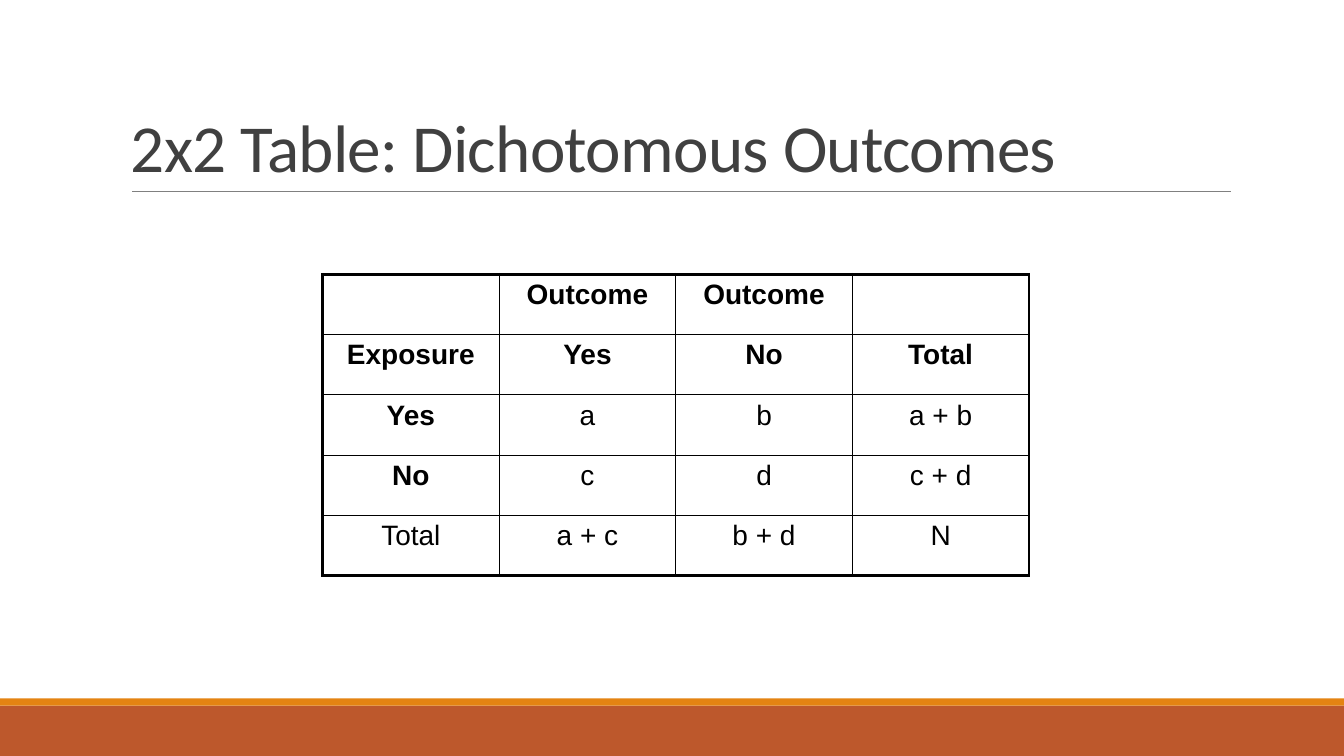
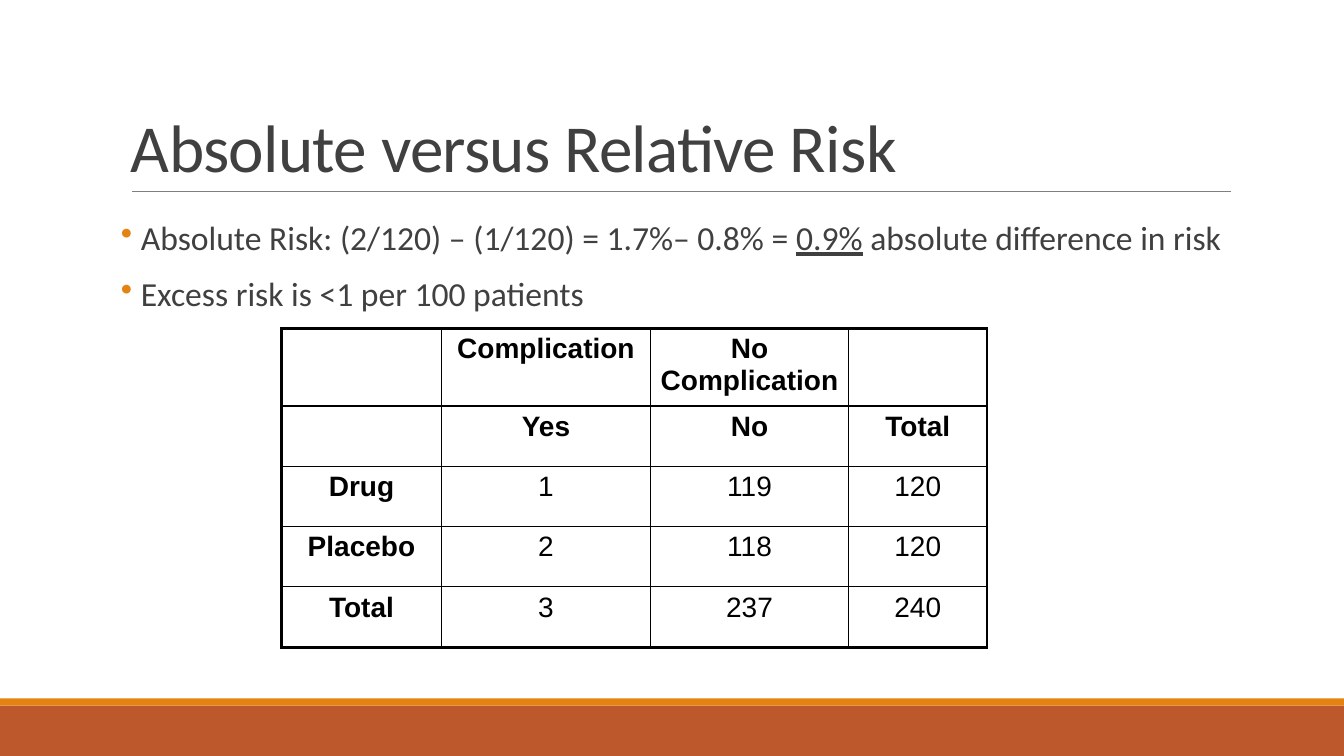
from dataclasses import dataclass

from lxml import etree
from pptx import Presentation
from pptx.dml.color import RGBColor
from pptx.enum import shapes, text
from pptx.oxml import ns
from pptx.util import Cm, Pt


@dataclass(frozen=True)
class Theme:
    band: str = "BD582C"
    accent: str = "E48312"
    rule: str = "808080"
    ink: str = "404040"
    table_ink: str = "000000"
    font: str = "Calibri"
    table_font: str = "Arial"
    title_size: float = 48
    body_size: float = 24
    table_size: float = 20
    outer_border: float = 2.25
    inner_border: float = 1


THEME = Theme()
SLIDE_WIDTH, SLIDE_HEIGHT = 33.87, 19.05
CONTENT_LEFT, CONTENT_WIDTH = 3.05, 27.94
RULE_LEFT, RULE_RIGHT, RULE_TOP = 3.33, 31.01, 4.83
BANDS = [(17.78, 1.27, THEME.band), (17.6, 0.18, THEME.accent)]
ROW_HEIGHT = 1.52
HEADER_ROWS = 2

# Each bullet is a list of (text, underlined) runs.
SLIDES = [
    {
        "title": "2x2 Table: Dichotomous Outcomes",
        "bullets": [],
        "table_at": (8.13, 6.91),
        "columns": [4.45] * 4,
        "bold_last_label": False,
        "rows": [
            ["", "Outcome", "Outcome", ""],
            ["Exposure", "Yes", "No", "Total"],
            ["Yes", "a", "b", "a + b"],
            ["No", "c", "d", "c + d"],
            ["Total", "a + c", "b + d", "N"],
        ],
    },
    {
        "title": "Absolute versus Relative Risk",
        "bullets": [
            [("Absolute Risk: (2/120) – (1/120) = 1.7%– 0.8% = ", False),
             ("0.9%", True),
             (" absolute difference in risk", False)],
            [("Excess risk is <1 per 100 patients", False)],
        ],
        "table_at": (7.09, 8.28),
        "columns": [4.04, 5.26, 5, 3.48],
        "bold_last_label": True,
        "rows": [
            ["", "Complication", "No Complication", ""],
            ["", "Yes", "No", "Total"],
            ["Drug", "1", "119", "120"],
            ["Placebo", "2", "118", "120"],
            ["Total", "3", "237", "240"],
        ],
    },
]


def rgb(color):
    return RGBColor.from_string(color)


def add_element(parent, tag, **attributes):
    return etree.SubElement(parent, ns.qn(tag), attributes)


def style_font(font, name, size, color, bold=False):
    font.name, font.size, font.bold = name, Pt(size), bold
    font.color.rgb = rgb(color)


def add_frame(slide):
    """Add the footer bands and the rule under the title."""
    for top, height, color in BANDS:
        band = slide.shapes.add_shape(shapes.MSO_SHAPE.RECTANGLE, 0, Cm(top),
                                      Cm(SLIDE_WIDTH), Cm(height))
        band.shadow.inherit = False
        band.fill.solid()
        band.fill.fore_color.rgb = rgb(color)
        band.line.fill.background()
    rule = slide.shapes.add_connector(shapes.MSO_CONNECTOR.STRAIGHT, Cm(RULE_LEFT), Cm(RULE_TOP),
                                      Cm(RULE_RIGHT), Cm(RULE_TOP))
    rule.line.color.rgb = rgb(THEME.rule)
    rule.line.width = Pt(0.5)
    add_element(rule._element.spPr, "a:effectLst")


def add_text_frame(slide, top, height):
    box = slide.shapes.add_textbox(Cm(CONTENT_LEFT), Cm(top), Cm(CONTENT_WIDTH), Cm(height))
    box.text_frame.word_wrap = True
    return box.text_frame


def add_title(slide, title):
    frame = add_text_frame(slide, 0.79, 4.04)
    frame.vertical_anchor = text.MSO_ANCHOR.BOTTOM
    frame.text = title
    paragraph = frame.paragraphs[0]
    paragraph.line_spacing = 0.85
    run = paragraph.runs[0]
    style_font(run.font, THEME.font, THEME.title_size, THEME.ink)
    run.font._element.set("spc", "-50")


def add_bullets(slide, bullets):
    frame = add_text_frame(slide, 5.46, 10.57)
    frame.margin_left = frame.margin_right = 0
    for index, runs in enumerate(bullets):
        paragraph = frame.add_paragraph() if index else frame.paragraphs[0]
        properties = paragraph._p.get_or_add_pPr()
        indent = Cm(0.5)
        properties.set("marL", str(indent))
        properties.set("indent", str(-indent))
        bullet_color = add_element(properties, "a:buClr")
        add_element(bullet_color, "a:srgbClr", val=THEME.accent)
        add_element(properties, "a:buChar", char="•")
        paragraph.line_spacing = 0.9
        paragraph.space_after = Pt(2)
        if index:
            paragraph.space_before = Pt(12)
        for content, underlined in runs:
            run = paragraph.add_run()
            run.text = content
            style_font(run.font, THEME.font, THEME.body_size, THEME.ink)
            run.font.underline = underlined


def set_borders(cell, outer_sides):
    """Draw all four borders, heavier on the given outer sides."""
    properties = cell._tc.get_or_add_tcPr()
    for position, side in enumerate("LRTB"):
        width = THEME.outer_border if side in outer_sides else THEME.inner_border
        border = etree.Element(ns.qn(f"a:ln{side}"), w=str(Pt(width)))
        fill = add_element(border, "a:solidFill")
        add_element(fill, "a:srgbClr", val=THEME.table_ink)
        properties.insert(position, border)


def add_grid(slide, content):
    rows, columns = content["rows"], content["columns"]
    left, top = content["table_at"]
    table = slide.shapes.add_table(len(rows), len(columns), Cm(left), Cm(top), Cm(sum(columns)),
                                   Cm(ROW_HEIGHT * len(rows))).table
    table.first_row = table.horz_banding = False
    for column, width in zip(table.columns, columns):
        column.width = Cm(width)
    last_row, last_column = len(rows) - 1, len(columns) - 1
    for r, row in enumerate(rows):
        table.rows[r].height = Cm(ROW_HEIGHT)
        for c, value in enumerate(row):
            cell = table.cell(r, c)
            cell.fill.background()
            edges = {"L": c == 0, "R": c == last_column, "T": r == 0, "B": r == last_row}
            set_borders(cell, [side for side, outer in edges.items() if outer])
            if not value:
                continue
            cell.text_frame.text = value
            paragraph = cell.text_frame.paragraphs[0]
            paragraph.alignment = text.PP_ALIGN.CENTER
            is_label = c == 0 and (r < last_row or content["bold_last_label"])
            style_font(paragraph.runs[0].font, THEME.table_font, THEME.table_size,
                       THEME.table_ink, bold=r < HEADER_ROWS or is_label)


def main():
    presentation = Presentation()
    presentation.slide_width, presentation.slide_height = Cm(SLIDE_WIDTH), Cm(SLIDE_HEIGHT)
    blank = presentation.slide_layouts[6]
    for content in SLIDES:
        slide = presentation.slides.add_slide(blank)
        add_frame(slide)
        add_title(slide, content["title"])
        if content["bullets"]:
            add_bullets(slide, content["bullets"])
        add_grid(slide, content)
    presentation.save("out.pptx")


if __name__ == "__main__":
    main()
